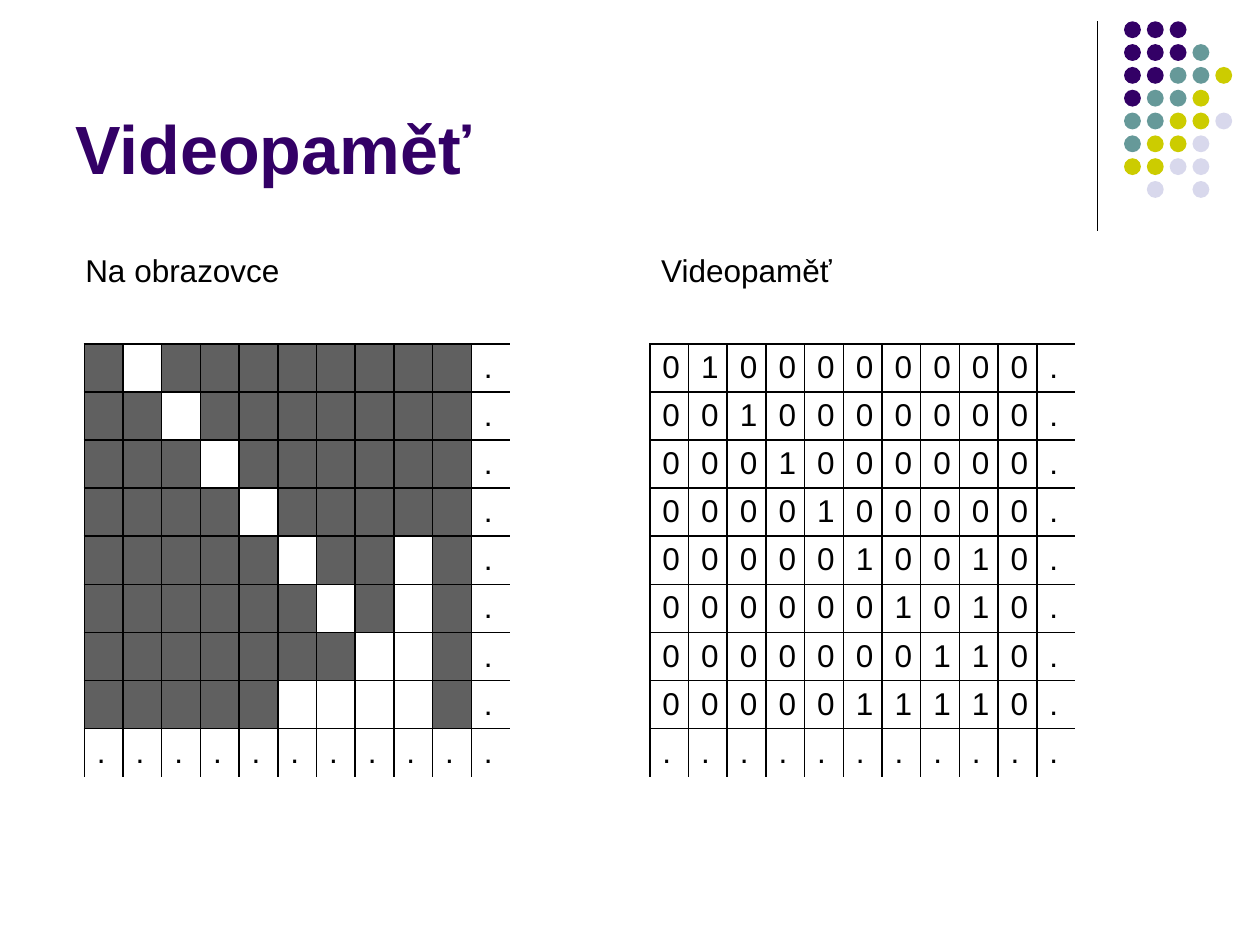
from lxml.etree import SubElement
from pptx import Presentation
from pptx.dml.color import RGBColor as RGB
from pptx.enum.shapes import MSO_CONNECTOR as CONN, MSO_SHAPE as SHAPE
from pptx.enum.text import MSO_ANCHOR as ANCHOR, MSO_AUTO_SIZE as AUTO, PP_ALIGN as ALIGN
from pptx.oxml.ns import qn
from pptx.util import Cm, Pt

COLORS = {"black": "000000", "white": "FFFFFF", "gray": "606060",
          "P": "330066", "T": "669999", "Y": "CCCC00", "L": "D8D8EC"}
DOTS = ["PPP", "PPPT", "PPTTY", "PTTY", "TTYYL", "TYYL", "YYLL", " L L"]
BITS = ["0100000000.", "0010000000.", "0001000000.", "0000100000.",
        "0000010010.", "0000001010.", "0000000110.", "0000011110.",
        "..........."]


def style(para, size, color, bold=False):
    para.alignment = ALIGN.LEFT
    font = para.font
    font.name, font.size, font.bold = "Arial", Pt(size), bold
    font.color.rgb = RGB.from_string(COLORS[color])


def border(cell, sides):
    props = cell._tc.get_or_add_tcPr()
    for side in "LRTB":
        line = SubElement(props, qn("a:ln" + side), w=str(Pt(1)))
        if side in sides:
            fill = SubElement(line, qn("a:solidFill"))
            SubElement(fill, qn("a:srgbClr"), val=COLORS["black"])
        else:
            SubElement(line, qn("a:noFill"))


prs = Presentation()
prs.slide_width, prs.slide_height = Cm(25.4), Cm(19.05)
slide = prs.slides.add_slide(prs.slide_layouts[5])
shapes = slide.shapes

rule = shapes.add_connector(CONN.STRAIGHT, Cm(22.12), Cm(0.43), Cm(22.12), Cm(4.65))
rule.line.width = Pt(0.75)
rule.line.color.rgb = RGB.from_string(COLORS["black"])
SubElement(rule._element.spPr, qn("a:effectLst"))

group = shapes.add_group_shape()
for r, row in enumerate(DOTS):
    for c, key in enumerate(row):
        if key == " ":
            continue
        dot = group.shapes.add_shape(SHAPE.OVAL, Cm(22.66 + 0.46 * c),
                                     Cm(0.43 + 0.46 * r), Cm(0.34), Cm(0.34))
        dot.shadow.inherit = False
        dot.fill.solid()
        dot.fill.fore_color.rgb = RGB.from_string(COLORS[key])
        dot.line.fill.background()

title = shapes.title
title.left, title.top, title.width, title.height = Cm(1.27), Cm(0.33), Cm(20.96), Cm(3.6)
frame = title.text_frame
frame.text = "Videopaměť"
frame.vertical_anchor = ANCHOR.BOTTOM
frame.auto_size = AUTO.NONE
style(frame.paragraphs[0], 39, "P", True)

for left, painted in ((1.7, True), (13.1, False)):
    rows, cols = len(BITS), len(BITS[0])
    table = shapes.add_table(rows, cols, Cm(left), Cm(6.93),
                             Cm(0.78 * cols), Cm(0.97 * rows)).table
    table.first_row = table.horz_banding = False
    for col in table.columns:
        col.width = Cm(0.78)
    for r, row in enumerate(BITS):
        table.rows[r].height = Cm(0.97)
        for c, bit in enumerate(row):
            cell = table.cell(r, c)
            cell.margin_top = cell.margin_bottom = Cm(0.12)
            border(cell, "LT" + "R" * (c < cols - 1) + "B" * (r < rows - 1))
            if painted and bit != ".":
                cell.fill.solid()
                shade = "white" if bit == "1" else "gray"
                cell.fill.fore_color.rgb = RGB.from_string(COLORS[shade])
            else:
                cell.fill.background()
                cell.text = bit
            style(cell.text_frame.paragraphs[0], 18, "black")

for left, text in ((1.47, "Na obrazovce"), (13.08, "Videopaměť")):
    frame = shapes.add_textbox(Cm(left), Cm(4.93), Cm(4.6), Cm(1.02)).text_frame
    frame.word_wrap = True
    frame.auto_size = AUTO.SHAPE_TO_FIT_TEXT
    frame.text = text
    style(frame.paragraphs[0], 18, "black")

prs.save("out.pptx")
